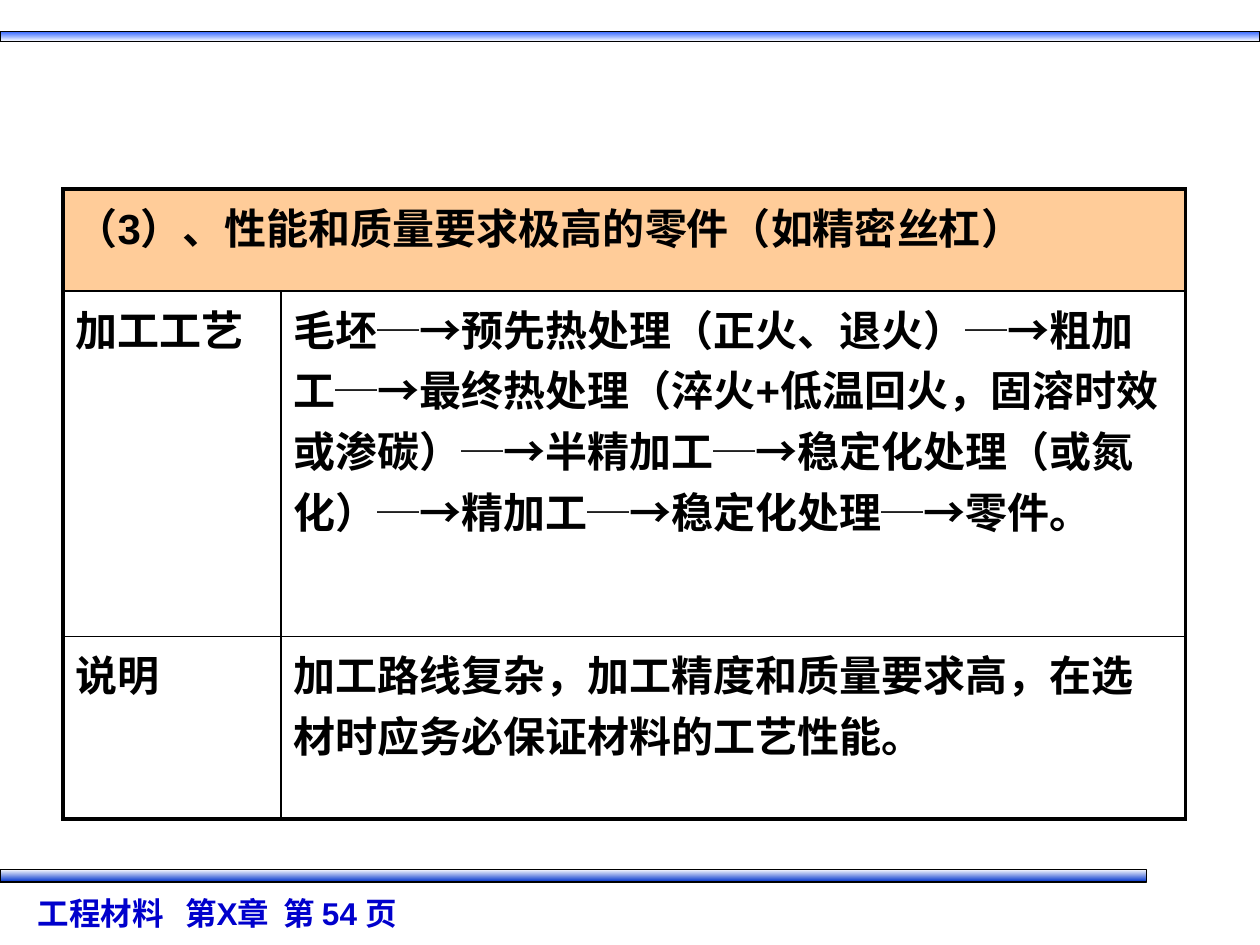
from lxml.etree import SubElement
from pptx import Presentation
from pptx.dml.color import RGBColor
from pptx.enum.shapes import MSO_SHAPE
from pptx.oxml.ns import qn
from pptx.util import Inches, Pt

COLORS = {
    "black": "000000",
    "white": "FFFFFF",
    "header": "FFCC99",
    "top_bar": "3366FF",
    "bottom_bar": "0033CC",
    "footer": "0000CC",
}
COLUMN_WIDTHS = [1.73, 7.18]
ROW_HEIGHTS = [0.81, 2.74, 1.45]
ROWS = [
    ["（3）、性能和质量要求极高的零件（如精密丝杠）", ""],
    ["加工工艺", "毛坯─→预先热处理（正火、退火）─→粗加工─→最终热处理（淬火+低温回火，"
     "固溶时效或渗碳）─→半精加工─→稳定化处理（或氮化）─→精加工─→稳定化处理─→零件。"],
    ["说明", "加工路线复杂，加工精度和质量要求高，在选材时应务必保证材料的工艺性能。"],
]
OUTER, INNER = 2.25, 1


def color(name):
    return RGBColor.from_string(COLORS[name])


def style_paragraph(para, size, color_name):
    para.font.name = "Arial"
    para.font.size = Pt(size)
    para.font.bold = True
    para.font.color.rgb = color(color_name)


def add_bar(page, top, width, height, start, end):
    bar = page.shapes.add_shape(
        MSO_SHAPE.RECTANGLE, 0, Inches(top), Inches(width), Inches(height))
    bar.shadow.inherit = False
    bar.fill.gradient()
    bar.fill.gradient_angle = 270
    for stop, position, name in zip(bar.fill.gradient_stops, (0, 1), (start, end)):
        stop.position = position
        stop.color.rgb = color(name)
    bar.line.color.rgb = color("black")
    bar.line.width = Pt(0.75)


def add_footer(page):
    box = page.shapes.add_textbox(Inches(0.2), Inches(7.05), Inches(6.38), Inches(0.4))
    box.text_frame.word_wrap = True
    para = box.text_frame.paragraphs[0]
    para.text = "工程材料   第X章  第 54 页"
    style_paragraph(para, 18, "footer")


def set_borders(cell, widths):
    properties = cell._tc.get_or_add_tcPr()
    for index, (side, width) in enumerate(widths.items()):
        line = SubElement(properties, qn(f"a:ln{side}"), w=str(Pt(width)))
        properties.remove(line)
        properties.insert(index, line)
        fill = SubElement(line, qn("a:solidFill"))
        SubElement(fill, qn("a:srgbClr"), val=COLORS["black"])


def add_process_table(page):
    frame = page.shapes.add_table(
        len(ROWS), len(COLUMN_WIDTHS), Inches(0.5), Inches(1.5),
        Inches(sum(COLUMN_WIDTHS)), Inches(sum(ROW_HEIGHTS)))
    table = frame.table
    table.first_row = False
    table.horz_banding = False
    for column, width in zip(table.columns, COLUMN_WIDTHS):
        column.width = Inches(width)
    for row, height in zip(table.rows, ROW_HEIGHTS):
        row.height = Inches(height)
    table.cell(0, 0).merge(table.cell(0, 1))

    last_row, last_column = len(ROWS) - 1, len(COLUMN_WIDTHS) - 1
    for r, texts in enumerate(ROWS):
        for c, text in enumerate(texts):
            cell = table.cell(r, c)
            if r == 0:
                cell.fill.solid()
                cell.fill.fore_color.rgb = color("header")
            else:
                cell.fill.background()
            set_borders(cell, {
                "L": OUTER if c == 0 else INNER,
                "R": OUTER if c == last_column or r == 0 else INNER,
                "T": OUTER if r == 0 else INNER,
                "B": OUTER if r == last_row else INNER,
            })
            if text:
                cell.text = text
                style_paragraph(cell.text_frame.paragraphs[0], 24, "black")


def main():
    deck = Presentation()
    deck.slide_width = Inches(10)
    deck.slide_height = Inches(7.5)
    page = deck.slides.add_slide(deck.slide_layouts[6])
    add_bar(page, 0.25, 10, 0.08, "top_bar", "white")
    add_bar(page, 6.9, 9.1, 0.1, "white", "bottom_bar")
    add_footer(page)
    add_process_table(page)
    deck.save("out.pptx")


if __name__ == "__main__":
    main()
